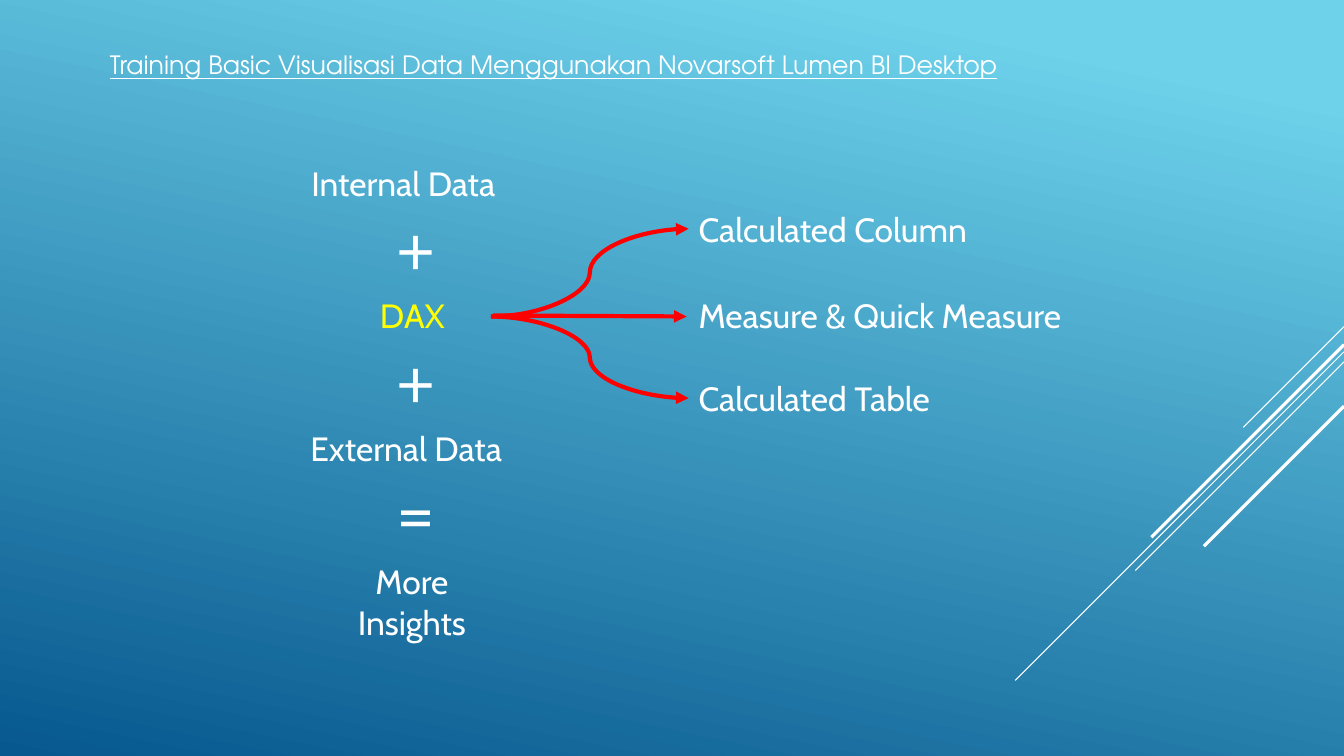
from lxml import etree
from pptx import Presentation
from pptx.dml.color import RGBColor
from pptx.enum.shapes import MSO_CONNECTOR
from pptx.enum.text import MSO_AUTO_SIZE, PP_ALIGN
from pptx.oxml.ns import qn
from pptx.util import Inches, Pt

WHITE = RGBColor(0xFF, 0xFF, 0xFF)
YELLOW = RGBColor(0xFF, 0xFF, 0x00)
RED = RGBColor(0xFF, 0x00, 0x00)
SKY = RGBColor(0x6E, 0xD2, 0xEB)
OCEAN = RGBColor(0x06, 0x58, 0x8E)

SLIDE_WIDTH = 13.33


def paint_background(slide):
    fill = slide.background.fill
    fill.gradient()
    fill.gradient_angle = 258
    for stop, color, position in zip(fill.gradient_stops, (SKY, OCEAN), (0.1, 1.0)):
        stop.color.rgb = color
        stop.position = position


def add_line(slide, start, end, color, width, kind=MSO_CONNECTOR.STRAIGHT, arrow=False):
    points = [Inches(value) for value in (*start, *end)]
    connector = slide.shapes.add_connector(kind, *points)
    connector.line.color.rgb = color
    connector.line.width = Pt(width)
    properties = connector._element.spPr
    if arrow:
        etree.SubElement(properties.find(qn("a:ln")), qn("a:tailEnd"), type="triangle")
    etree.SubElement(properties, qn("a:effectLst"))


def add_label(slide, wording, left, top, width, height=0.5, size=24, font="Cabin",
              color=WHITE, align=PP_ALIGN.JUSTIFY, underline=None):
    box = slide.shapes.add_textbox(*map(Inches, (left, top, width, height)))
    frame = box.text_frame
    frame.word_wrap = True
    frame.auto_size = MSO_AUTO_SIZE.SHAPE_TO_FIT_TEXT
    frame.text = wording
    for paragraph in frame.paragraphs:
        paragraph.alignment = align
        paragraph.font.size = Pt(size)
        paragraph.font.name = font
        paragraph.font.color.rgb = color
        paragraph.font.underline = underline


def add_operator(slide, symbol, top):
    add_label(slide, symbol, 3.83, top, 0.51, 0.91, size=48, font="Lato",
              align=PP_ALIGN.CENTER)


def main():
    prs = Presentation()
    prs.slide_width, prs.slide_height = Inches(SLIDE_WIDTH), Inches(7.5)
    slide = prs.slides.add_slide(prs.slide_layouts[6])
    paint_background(slide)

    # Diagonal strokes running down from the right edge at 45 degrees
    for top, reach, width in ((3.24, 1.0, 0.75), (3.49, 3.26, 0.75), (3.59, 2.07, 0.75),
                              (3.42, 1.91, 2.25), (4.03, 1.39, 2.25)):
        add_line(slide, (SLIDE_WIDTH, top), (SLIDE_WIDTH - reach, top + reach), WHITE, width)

    # Heading
    add_label(slide, "Training Basic Visualisasi Data Menggunakan Novarsoft Lumen BI Desktop",
              0.99, 0.44, 10.62, 0.4, size=18, font="TeX Gyre Adventor", underline=True)

    # Sum of data sources
    add_label(slide, "Internal Data", 2.99, 1.57, 2.56)
    add_operator(slide, "+", 2.02)
    add_label(slide, "DAX", 3.67, 2.88, 1.08, color=YELLOW)
    add_operator(slide, "+", 3.34)
    add_label(slide, "External Data", 2.98, 4.2, 2.47)
    add_operator(slide, "=", 4.66)
    add_label(slide, "More\nInsights", 3.3, 5.52, 1.57, 0.91, align=PP_ALIGN.CENTER)

    # What DAX branches into
    for wording, top in (("Calculated Column", 2.02), ("Measure & Quick Measure", 2.88),
                         ("Calculated Table", 3.7)):
        add_label(slide, wording, 6.83, top, 4.99)
    for target in (2.27, 3.95):
        add_line(slide, (4.87, 3.14), (6.83, target), RED, 3, MSO_CONNECTOR.CURVE, arrow=True)
    add_line(slide, (4.89, 3.13), (6.81, 3.14), RED, 3, arrow=True)

    prs.save("out.pptx")


if __name__ == "__main__":
    main()
